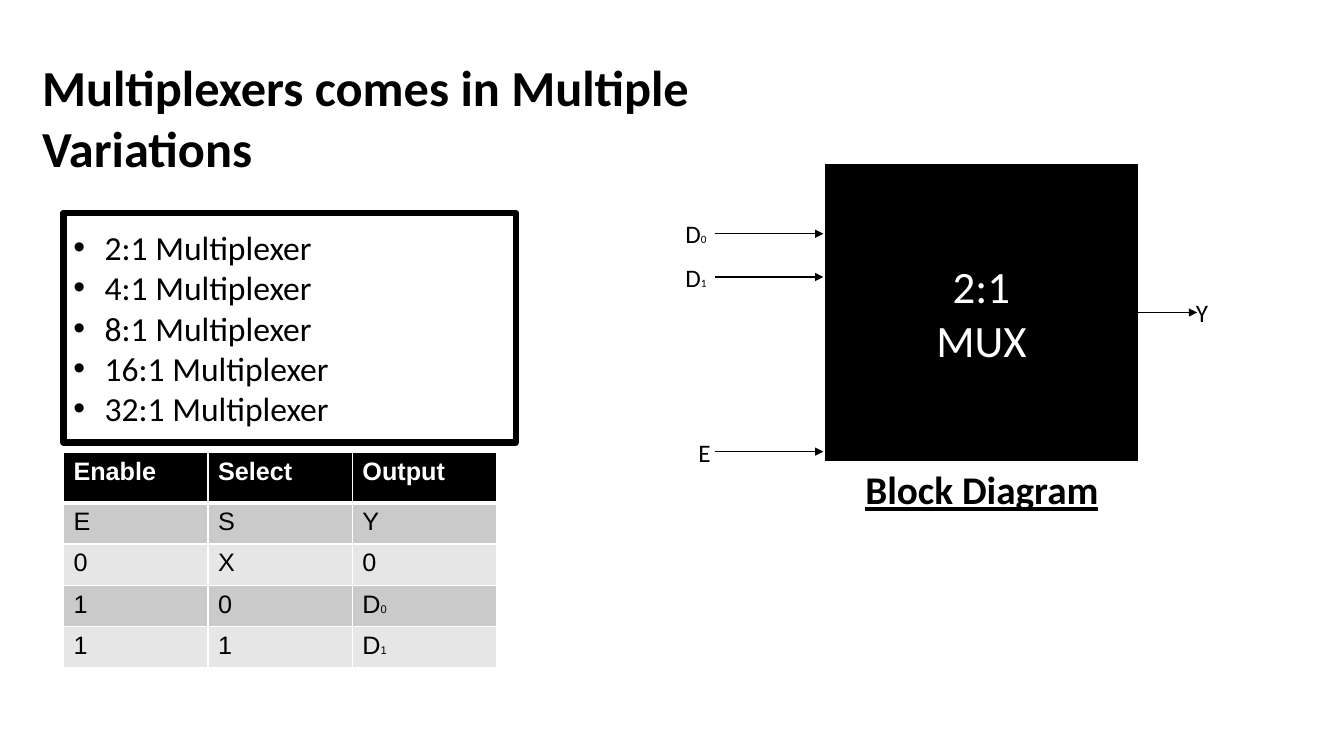
from lxml.etree import SubElement
from pptx import Presentation
from pptx.dml.color import RGBColor
from pptx.enum.shapes import MSO_CONNECTOR, MSO_SHAPE
from pptx.enum.text import MSO_ANCHOR, PP_ALIGN
from pptx.oxml import parse_xml
from pptx.oxml.ns import nsdecls, qn
from pptx.util import Cm, Pt

BLACK, WHITE = "000000", "FFFFFF"
BANDS = ("CACACA", "E6E6E6")
SUBSCRIPT_SIZE = 8
VARIATIONS = [f"{inputs}:1 Multiplexer" for inputs in (2, 4, 8, 16, 32)]
TRUTH_TABLE = [
    ("Enable", "Select", "Output"),
    ("E", "S", "Y"),
    ("0", "X", "0"),
    ("1", "0", "D0"),
    ("1", "1", "D1"),
]


def rgb(value):
    """Turn a hex string into a colour."""
    return RGBColor.from_string(value)


def add_run(paragraph, words, size, color=BLACK, font="Calibri", bold=False, underline=False):
    """Append one formatted run to a paragraph."""
    run = paragraph.add_run()
    run.text = words
    run.font.size = Pt(size)
    run.font.name = font
    run.font.bold = bold
    run.font.underline = underline
    run.font.color.rgb = rgb(color)


def add_signal(paragraph, signal, font="Calibri"):
    """Write a signal name with its index in small type."""
    if len(signal) == 2:
        add_run(paragraph, signal[0], 18, font=font)
        add_run(paragraph, signal[1], SUBSCRIPT_SIZE, font=font)
    else:
        add_run(paragraph, signal, 18, font=font)


def text_line(slide, left, top, width, height):
    """Add a wrapping text box and return its first paragraph."""
    frame = slide.shapes.add_textbox(Cm(left), Cm(top), Cm(width), Cm(height)).text_frame
    frame.word_wrap = True
    return frame.paragraphs[0]


def add_block(slide, left, top, width, height, fill, line_width):
    """Add a black-edged rectangle with middle-anchored text."""
    block = slide.shapes.add_shape(
        MSO_SHAPE.RECTANGLE, Cm(left), Cm(top), Cm(width), Cm(height))
    block.shadow.inherit = False
    block.fill.solid()
    block.fill.fore_color.rgb = rgb(fill)
    block.line.color.rgb = rgb(BLACK)
    block.line.width = Pt(line_width)
    block.text_frame.word_wrap = True
    block.text_frame.vertical_anchor = MSO_ANCHOR.MIDDLE
    return block


def add_arrow(slide, start, end, y):
    """Draw a thin horizontal arrow."""
    arrow = slide.shapes.add_connector(
        MSO_CONNECTOR.STRAIGHT, Cm(start), Cm(y), Cm(end), Cm(y))
    arrow.line.color.rgb = rgb(BLACK)
    arrow.line.width = Pt(0.75)
    SubElement(arrow.line._get_or_add_ln(), qn("a:tailEnd"), type="triangle")
    SubElement(arrow._element.spPr, qn("a:effectLst"))
    return arrow


def add_title(slide, left, top, width, height):
    """Write the slide heading."""
    heading = text_line(slide, left, top, width, height)
    add_run(heading, "Multiplexers comes in Multiple Variations", 36, bold=True)


def add_variations(slide, left, top, width, height):
    """List the multiplexer sizes in a framed box."""
    frame = add_block(slide, left, top, width, height, WHITE, 4.5).text_frame
    for index, variation in enumerate(VARIATIONS):
        item = frame.add_paragraph() if index else frame.paragraphs[0]
        item.alignment = PP_ALIGN.LEFT
        properties = item._p.get_or_add_pPr()
        properties.set("marL", str(Cm(0.79)))
        properties.set("indent", str(-Cm(0.79)))
        SubElement(properties, qn("a:buFont"), typeface="Arial")
        SubElement(properties, qn("a:buChar"), char="•")
        add_run(item, variation, 24)


def add_borders(cell, top, bottom):
    """Give a cell white borders, with top and bottom widths in points."""
    properties = cell._tc.get_or_add_tcPr()
    widths = {"lnL": 1, "lnR": 1, "lnT": top, "lnB": bottom}
    for position, (side, width) in enumerate(widths.items()):
        properties.insert(position, parse_xml(
            f'<a:{side} {nsdecls("a")} w="{Pt(width)}"><a:solidFill>'
            f'<a:srgbClr val="{WHITE}"/></a:solidFill></a:{side}>'))


def add_truth_table(slide, left, top, width, height):
    """Fill the banded truth table under a black header."""
    rows, columns = len(TRUTH_TABLE), len(TRUTH_TABLE[0])
    header_height = 1.27
    table = slide.shapes.add_table(
        rows, columns, Cm(left), Cm(top), Cm(width), Cm(height)).table
    for column in table.columns:
        column.width = Cm(width / columns)
    for r, signals in enumerate(TRUTH_TABLE):
        table.rows[r].height = Cm((height - header_height) / (rows - 1) if r else header_height)
        for c, signal in enumerate(signals):
            cell = table.cell(r, c)
            cell.fill.solid()
            cell.fill.fore_color.rgb = rgb(BANDS[(r - 1) % 2] if r else BLACK)
            add_borders(cell, 3 if r == 1 else 1, 1 if r else 3)
            paragraph = cell.text_frame.paragraphs[0]
            if r:
                add_signal(paragraph, signal, "Arial")
            else:
                add_run(paragraph, signal, 18, WHITE, "Arial", bold=True)


def add_block_diagram(slide, left, top, width, height):
    """Draw the multiplexer with its inputs, output and caption."""
    mux = add_block(slide, left, top, width, height, BLACK, 1)
    for index, words in enumerate(("2:1", "MUX")):
        frame = mux.text_frame
        line = frame.add_paragraph() if index else frame.paragraphs[0]
        line.alignment = PP_ALIGN.CENTER
        add_run(line, words, 32, WHITE)

    for drop in (1.75, 2.84, 7.24):
        add_arrow(slide, left - 2.79, left - 0.05, top + drop)
    right, middle = left + width, top + height / 2
    output = add_arrow(slide, right, right + 1.5, middle)
    output.begin_connect(mux, 3)

    labels = [
        ("D0", left - 3.78, top + 1.24, 1.65),
        ("D1", left - 3.78, top + 2.34, 1.65),
        ("E", left - 3.45, top + 6.76, 0.9),
        ("Y", right + 1.22, middle - 0.51, 0.94),
    ]
    for signal, x, y, label_width in labels:
        add_signal(text_line(slide, x, y, label_width, 1.02), signal)

    caption = text_line(slide, left - 1.67, top + height, 11.23, 1.45)
    caption.alignment = PP_ALIGN.CENTER
    add_run(caption, "Block Diagram", 28, bold=True, underline=True)


def main():
    """Build the slide and save it."""
    deck = Presentation()
    deck.slide_width, deck.slide_height = Cm(33.87), Cm(19.05)
    slide = deck.slides.add_slide(deck.slide_layouts[6])
    add_title(slide, 0.81, 1.3, 17.98, 3.33)
    add_truth_table(slide, 1.6, 11.4, 10.92, 5.43)
    add_block_diagram(slide, 20.8, 4.14, 7.87, 7.47)
    add_variations(slide, 1.6, 5.36, 11.4, 5.79)
    deck.save("out.pptx")


if __name__ == "__main__":
    main()
